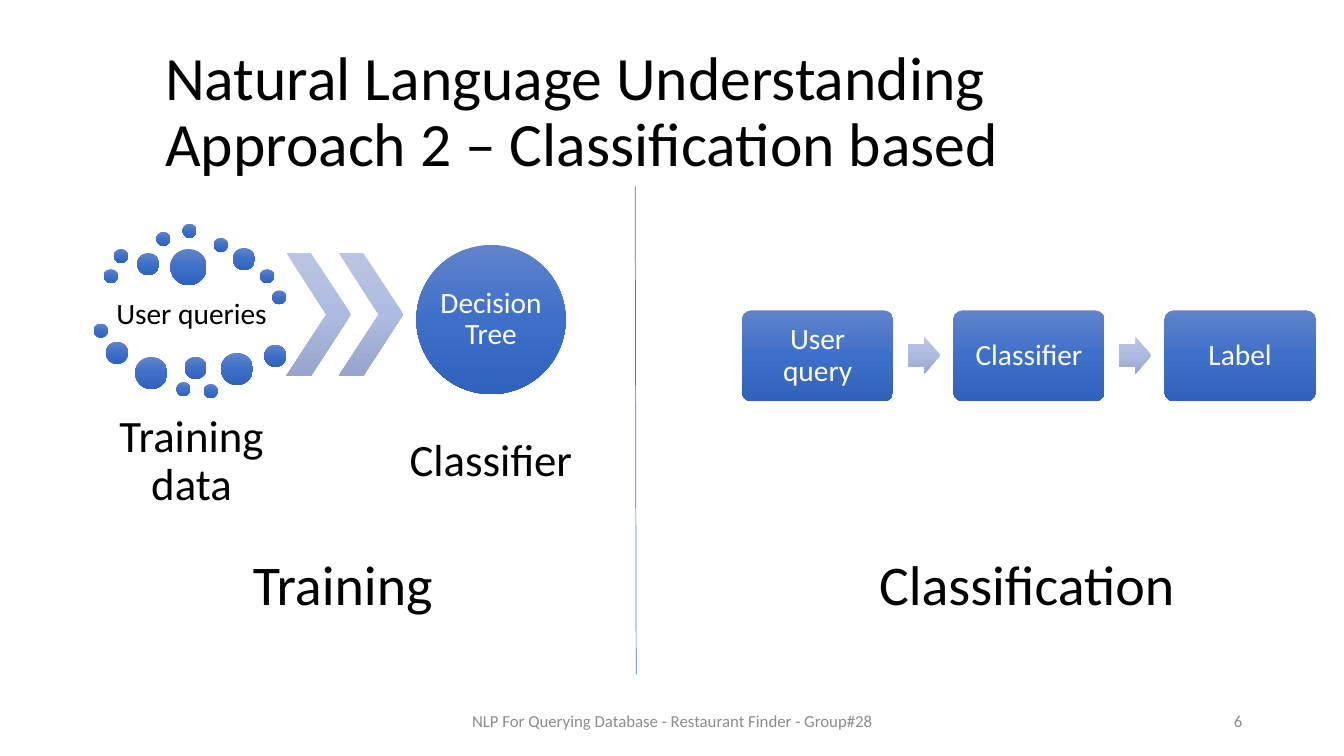
from copy import deepcopy

from pptx import Presentation
from pptx.dml.color import RGBColor
from pptx.enum.shapes import MSO_CONNECTOR as Connector, MSO_SHAPE as Shape
from pptx.enum.text import MSO_ANCHOR as Anchor, MSO_AUTO_SIZE as AutoSize, PP_ALIGN as Align
from pptx.oxml.ns import qn
from pptx.oxml.xmlchemy import OxmlElement
from pptx.util import Inches, Pt

BLACK = RGBColor(0x00, 0x00, 0x00)
WHITE = RGBColor(0xFF, 0xFF, 0xFF)
GREY = RGBColor(0x8C, 0x8C, 0x8C)
BLUE = RGBColor(0x44, 0x72, 0xC4)
STRONG = (RGBColor(0x61, 0x83, 0xCB), RGBColor(0x3E, 0x70, 0xCA), RGBColor(0x30, 0x62, 0xBB))
PALE = (RGBColor(0xBB, 0xC5, 0xE3), RGBColor(0xAE, 0xBB, 0xE0), RGBColor(0x98, 0xA4, 0xCB))

COLUMNS, ROWS = 133.3, 75
FONT = "Calibri"
SMALL_DOT, MEDIUM_DOT, LARGE_DOT, CENTRE_DOT = 1.4, 2.2, 3.2, 3.6
DOTS = {
    SMALL_DOT: [(10.3, 26.7), (11.3, 24.7), (15.5, 23), (18.1, 22.2), (21.2, 23.6), (25.8, 26.7),
                (27, 28.8), (9.3, 32.1), (17.5, 37.9), (20.2, 38.1)],
    MEDIUM_DOT: [(13.6, 25.1), (23.1, 24.6), (10.5, 33.9), (18.3, 35.4), (26.2, 34.2)],
    LARGE_DOT: [(13.4, 35.4), (21.9, 35)],
    CENTRE_DOT: [(16.9, 24.7)],
}
STEPS = ["User query", "Classifier", "Label"]
STEP_LEFT, STEP_PITCH, ARROW_OFFSET = 73.6, 20.95, 16.45


class SlideBuilder:
    def __init__(self, presentation):
        self.column = presentation.slide_width / COLUMNS
        self.row = presentation.slide_height / ROWS
        self.slide = presentation.slides.add_slide(presentation.slide_layouts[6])

    def place(self, left, top, width, height):
        return (round(left * self.column), round(top * self.row),
                round(width * self.column), round(height * self.row))

    def fill_text(self, shape, text, size, color, align, spacing, inset=None, **frame_format):
        frame = shape.text_frame
        frame_values = {"word_wrap": True, "vertical_anchor": Anchor.MIDDLE}
        if inset is not None:
            for side in ("left", "top", "right", "bottom"):
                frame_values[f"margin_{side}"] = Inches(inset)
        frame.text = text
        paragraph = frame.paragraphs[0]
        for target, values in (
            (frame, frame_values | frame_format),
            (paragraph, {"alignment": align, "line_spacing": spacing}),
        ):
            for name, value in values.items():
                setattr(target, name, value)
        for run in paragraph.runs:
            for name, value in {"name": FONT, "size": Pt(size)}.items():
                setattr(run.font, name, value)
            run.font.color.rgb = color

    def text(self, area, text, size, color=BLACK, align=Align.CENTER, spacing=0.9, **frame_format):
        box = self.slide.shapes.add_textbox(*self.place(*area))
        self.fill_text(box, text, size, color, align, spacing, **frame_format)

    def shape(self, kind, area, colors, adjustments=()):
        shape = self.slide.shapes.add_shape(kind, *self.place(*area))
        shape.shadow.inherit = False
        shape.line.fill.background()
        for index, value in enumerate(adjustments):
            shape.adjustments[index] = value
        shape.fill.gradient()
        shape.fill.gradient_angle = 270
        stop_list = shape._element.spPr.find(qn("a:gradFill")).find(qn("a:gsLst"))
        stop_list.append(deepcopy(stop_list[0]))
        for stop, color, position in zip(shape.fill.gradient_stops, colors, (0, 0.5, 1)):
            stop.color.rgb = color
            stop.position = position
        return shape

    def labelled_shape(self, kind, area, text, inset, adjustments=()):
        shape = self.shape(kind, area, STRONG, adjustments)
        self.fill_text(shape, text, 21, WHITE, Align.CENTER, 0.9, inset)

    def line(self, start, end):
        ends = self.place(*start, *end)
        connector = self.slide.shapes.add_connector(Connector.STRAIGHT, *ends)
        connector.line.color.rgb = BLUE
        connector.line.width = Pt(0.5)
        connector._element.spPr.append(OxmlElement("a:effectLst"))


def main():
    presentation = Presentation()
    presentation.slide_width = Inches(13.33)
    presentation.slide_height = Inches(7.5)
    builder = SlideBuilder(presentation)

    builder.text((15.4, 4, 108.8, 14.5),
                 "Natural Language Understanding\vApproach 2 – Classification based",
                 44, align=Align.LEFT)

    builder.text((10.3, 28.4, 17.4, 5.7), "User queries", 21, inset=0.03)
    for left, caption in ((10.3, "Training data"), (40, "Classifier")):
        builder.text((left, 40.5, 17.4, 10.7), caption, 32, inset=0.04)
    for size, corners in DOTS.items():
        for left, top in corners:
            builder.shape(Shape.OVAL, (left, top, size, size), STRONG)
    for left in (28.4, 33.6):
        builder.shape(Shape.CHEVRON, (left, 25.1, 6.4, 12.2), PALE, [0.62])
    builder.labelled_shape(Shape.OVAL, (41.3, 24.3, 14.8, 14.8), "Decision Tree", 0)

    for index, step in enumerate(STEPS):
        left = STEP_LEFT + index * STEP_PITCH
        builder.labelled_shape(Shape.ROUNDED_RECTANGLE, (left, 30.8, 15, 9), step, 0.09, [0.1])
        if index < len(STEPS) - 1:
            builder.shape(Shape.RIGHT_ARROW, (left + ARROW_OFFSET, 33.4, 3.2, 3.7), PALE, [0.6, 0.5])

    for left, width, heading in ((24.1, 20, "Training"), (86.2, 31.7, "Classification")):
        builder.text((left, 54, width, 7.7), heading, 40, align=Align.LEFT, spacing=1.0,
                     word_wrap=False, auto_size=AutoSize.SHAPE_TO_FIT_TEXT,
                     vertical_anchor=Anchor.TOP)
    builder.line((63, 18.5), (63.1, 66.9))

    builder.text((44.2, 69.5, 45, 4), "NLP For Querying Database - Restaurant Finder - Group#28",
                 12, GREY, spacing=1.0)
    builder.text((94.2, 69.5, 30, 4), "6", 12, GREY, Align.RIGHT, 1.0)

    presentation.save("out.pptx")


if __name__ == "__main__":
    main()
